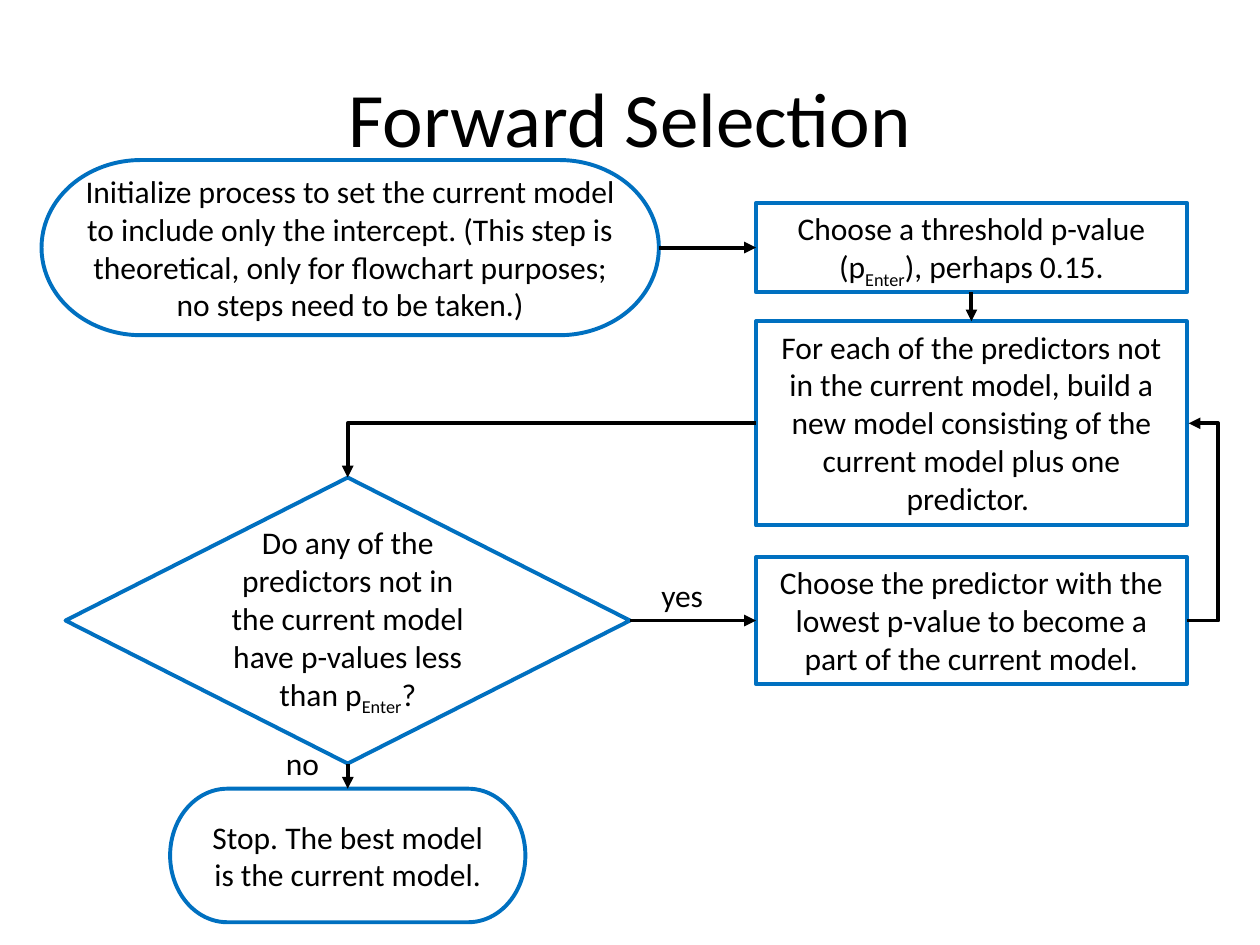
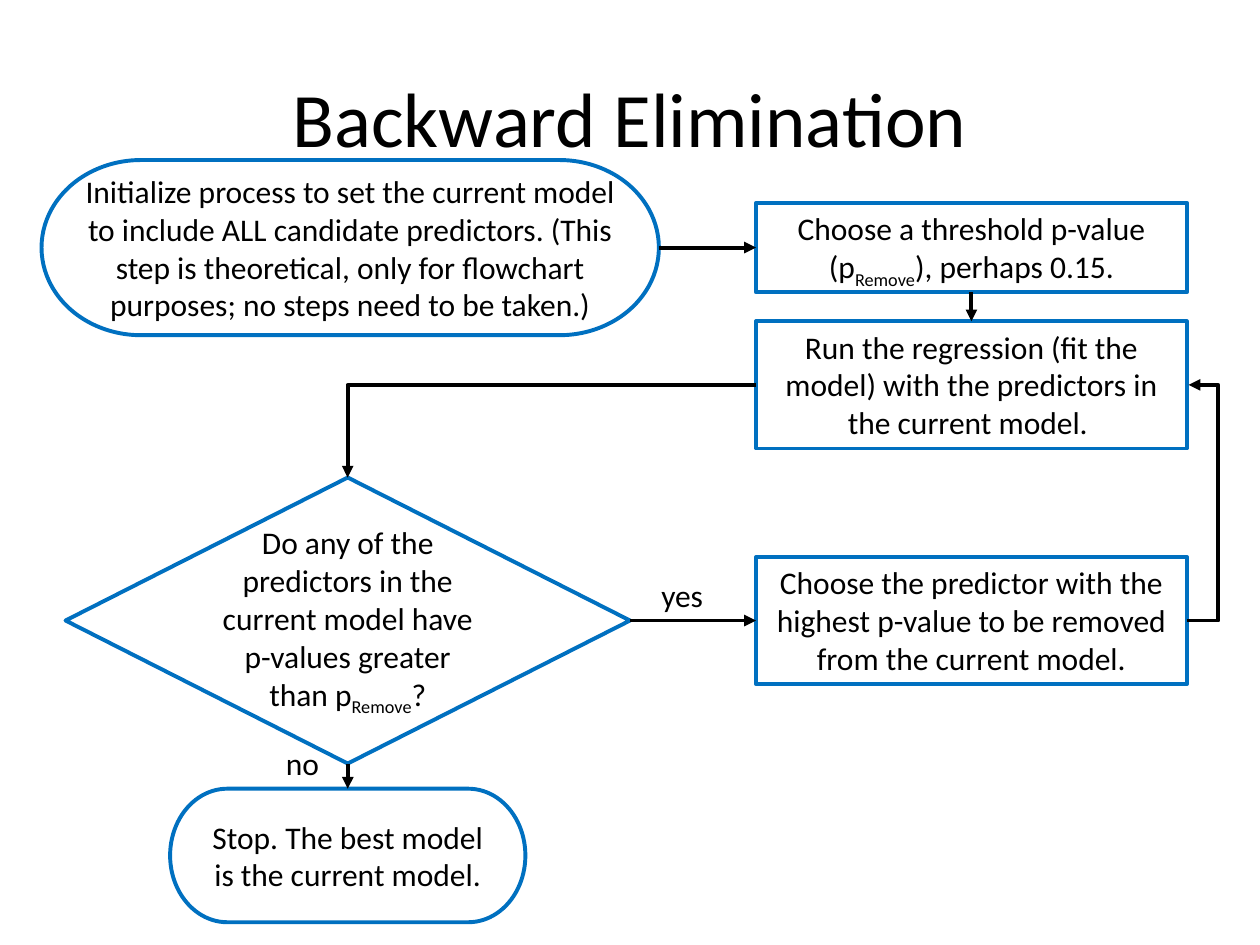
from lxml import etree
from pptx import Presentation
from pptx.dml.color import RGBColor
from pptx.enum.shapes import MSO_CONNECTOR, MSO_SHAPE
from pptx.enum.text import MSO_ANCHOR, PP_ALIGN
from pptx.oxml.ns import qn
from pptx.util import Emu, Inches, Pt

PROCESS = MSO_SHAPE.RECTANGLE
DECISION = MSO_SHAPE.FLOWCHART_DECISION
TERMINATOR = MSO_SHAPE.FLOWCHART_TERMINATOR
STRAIGHT, ELBOW = MSO_CONNECTOR.STRAIGHT, MSO_CONNECTOR.ELBOW
LEFT, CENTER = PP_ALIGN.LEFT, PP_ALIGN.CENTER
ANCHOR_TOP, ANCHOR_MIDDLE = MSO_ANCHOR.TOP, MSO_ANCHOR.MIDDLE

# Connection sites of every flowchart shape
TOP_SIDE, LEFT_SIDE, BOTTOM_SIDE, RIGHT_SIDE = range(4)

# Shared style: a grid of 100 columns by 75 rows
COLUMNS, ROWS = 100, 75
COLORS = {"text": "000000", "outline": "0070C0", "arrow": "000000"}
FONT = "Calibri"
TITLE_SIZE, BODY_SIZE = 44, 18
LINE_WIDTH = Pt(2.25)

# The three steps on the right share a left edge and a width
STEP_COLUMN, STEP_WIDTH = 60, 34.2

FLOWS = [
    {
        "title": "Forward Selection",
        "start": "Initialize process to set the current model to include only the "
                 "intercept. (This step is theoretical, only for flowchart purposes; "
                 "no steps need to be taken.)",
        "threshold": "Enter",
        "fit": "For each of the predictors not in the current model, build a new model "
               "consisting of the current model plus one predictor. ",
        "fit_rows": 16.2,
        "question": "Do any of the predictors not in the current model have p-values "
                    "less than p",
        "update": "Choose the predictor with the lowest p-value to become a part of "
                  "the current model.",
    },
    {
        "title": "Backward Elimination",
        "start": "Initialize process to set the current model to include ALL candidate "
                 "predictors. (This step is theoretical, only for flowchart purposes; "
                 "no steps need to be taken.)",
        "threshold": "Remove",
        "fit": "Run the regression (fit the model) with the predictors in the current "
               "model. ",
        "fit_rows": 10.1,
        "question": "Do any of the predictors in the current model have p-values "
                    "greater than p",
        "update": "Choose the predictor with the highest p-value to be removed from "
                  "the current model.",
    },
]


class FlowchartDeck:
    """Holds the shared style and the slide being drawn."""

    def __init__(self):
        self.presentation = Presentation()
        self.presentation.slide_width = Inches(10)
        self.presentation.slide_height = Inches(7.5)
        self.slide = None

    def new_slide(self, title):
        blank_layout = self.presentation.slide_layouts[6]
        self.slide = self.presentation.slides.add_slide(blank_layout)
        self.text_box(title, 5, 3, 90, 12.5, TITLE_SIZE, CENTER, ANCHOR_MIDDLE)

    def place(self, column, row, width, height):
        column_width = self.presentation.slide_width / COLUMNS
        row_height = self.presentation.slide_height / ROWS
        return [Emu(round(length)) for length in (
            column * column_width, row * row_height,
            width * column_width, height * row_height)]

    def set_text(self, shape, text, size, alignment, anchor):
        """Put text into a shape; parts between underscores are subscripts."""
        text_frame = shape.text_frame
        text_frame.word_wrap = True
        text_frame.vertical_anchor = anchor
        paragraph = text_frame.paragraphs[0]
        paragraph.alignment = alignment
        for index, part in enumerate(text.split("_")):
            run = paragraph.add_run()
            run.text = part
            run.font.name = FONT
            run.font.size = Pt(size)
            run.font.color.rgb = RGBColor.from_string(COLORS["text"])
            if index % 2:
                run._r.get_or_add_rPr().set("baseline", "-25000")

    def text_box(self, text, column, row, width, height,
                 size=BODY_SIZE, alignment=LEFT, anchor=ANCHOR_TOP):
        box = self.slide.shapes.add_textbox(*self.place(column, row, width, height))
        self.set_text(box, text, size, alignment, anchor)

    def node(self, kind, text, column, row, width, height, anchor=ANCHOR_MIDDLE):
        shape = self.slide.shapes.add_shape(kind, *self.place(column, row, width, height))
        shape.shadow.inherit = False
        shape.fill.background()
        shape.line.color.rgb = RGBColor.from_string(COLORS["outline"])
        shape.line.width = LINE_WIDTH
        self.set_text(shape, text, BODY_SIZE, CENTER, anchor)
        return shape

    def step(self, text, row, height):
        return self.node(PROCESS, text, STEP_COLUMN, row, STEP_WIDTH, height, ANCHOR_TOP)

    @staticmethod
    def side_middle(shape, side):
        x_share, y_share = [(0.5, 0), (0, 0.5), (0.5, 1), (1, 0.5)][side]
        return (Emu(round(shape.left + shape.width * x_share)),
                Emu(round(shape.top + shape.height * y_share)))

    def arrow(self, source, source_side, target, target_side, kind=STRAIGHT):
        connector = self.slide.shapes.add_connector(
            kind, *self.side_middle(source, source_side),
            *self.side_middle(target, target_side))
        connector.begin_connect(source, source_side)
        connector.end_connect(target, target_side)
        connector.line.color.rgb = RGBColor.from_string(COLORS["arrow"])
        connector.line.width = LINE_WIDTH
        line = connector.line._get_or_add_ln()
        etree.SubElement(line, qn("a:tailEnd"), type="triangle")
        etree.SubElement(connector._element.spPr, qn("a:effectLst"))
        return connector

    def corner_arrow(self, source, source_side, target, target_side):
        """An arrow with a single right-angle bend."""
        connector = self.arrow(source, source_side, target, target_side, ELBOW)
        connector._element.spPr.find(qn("a:prstGeom")).set("prst", "bentConnector2")

    def loop_arrow(self, source, target):
        """An arrow that leaves and returns on the right, 18 points outside."""
        connector = self.arrow(source, RIGHT_SIDE, target, RIGHT_SIDE, ELBOW)
        connector.width = Pt(1)
        geometry = connector._element.spPr.find(qn("a:prstGeom"))
        adjustments = geometry.find(qn("a:avLst"))
        if adjustments is None:
            adjustments = etree.SubElement(geometry, qn("a:avLst"))
        etree.SubElement(adjustments, qn("a:gd"), name="adj1", fmla="val 1800000")

    def flowchart(self, flow):
        self.new_slide(flow["title"])
        threshold_name = f"p_{flow['threshold']}_"

        # Steps, decision and end points
        threshold = self.step(
            f"Choose a threshold p-value ({threshold_name}), perhaps 0.15.", 16.1, 7.1)
        fit = self.step(flow["fit"], 25.5, flow["fit_rows"])
        update = self.step(flow["update"], 44.2, 10.1)
        question = self.node(DECISION, f"{flow['question']}_{flow['threshold']}_?",
                             5.2, 37.9, 44.8, 22.7)
        start = self.node(TERMINATOR, flow["start"], 3.3, 12.7, 49, 13.9)
        stop = self.node(TERMINATOR, "Stop. The best model is the current model.",
                         13.5, 62.6, 28.2, 10.6)

        # Arrows
        self.arrow(start, RIGHT_SIDE, threshold, LEFT_SIDE)
        self.arrow(threshold, BOTTOM_SIDE, fit, TOP_SIDE)
        self.arrow(question, RIGHT_SIDE, update, LEFT_SIDE)
        self.corner_arrow(fit, LEFT_SIDE, question, TOP_SIDE)
        self.arrow(question, BOTTOM_SIDE, stop, TOP_SIDE)
        self.loop_arrow(update, fit)

        # Answers beside the decision
        self.text_box("yes", 51.5, 45.2, 8.3, 4)
        self.text_box("no", 21.7, 58.6, 8.3, 4)


def main():
    deck = FlowchartDeck()
    for flow in FLOWS:
        deck.flowchart(flow)
    deck.presentation.save("out.pptx")


if __name__ == "__main__":
    main()
